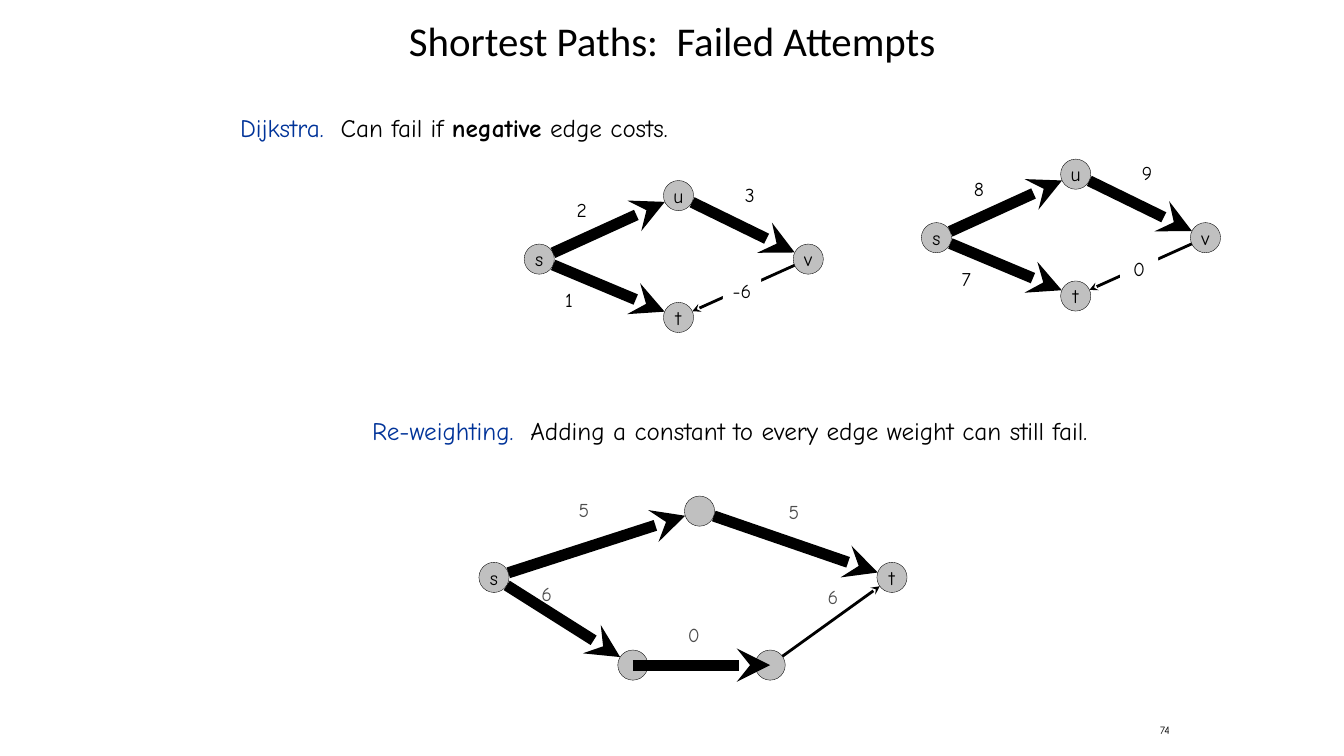
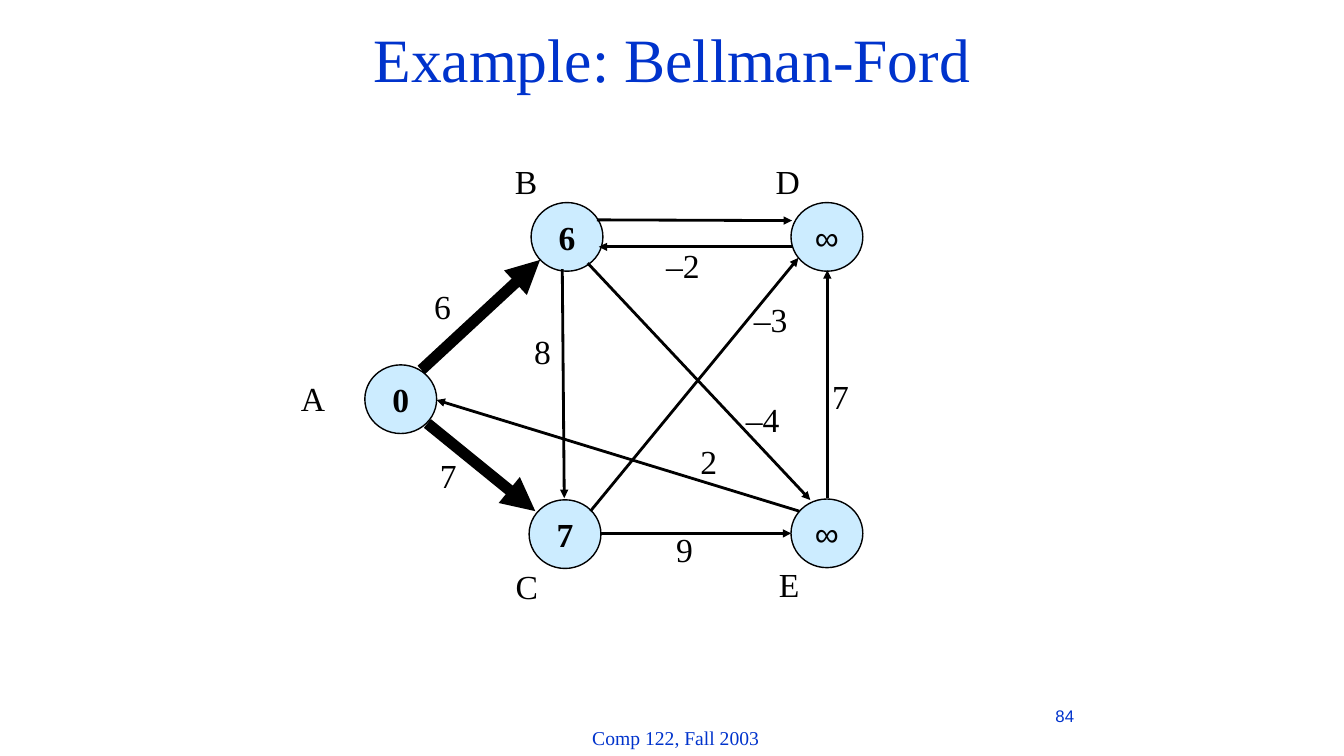
"""Build two slides on shortest paths with negative edge costs."""
from math import hypot

from lxml import etree
from pptx import Presentation
from pptx.dml.color import RGBColor
from pptx.enum import shapes as kinds
from pptx.enum import text as t
from pptx.oxml.ns import qn
from pptx.util import Cm, Pt

BLACK = RGBColor(0x00, 0x00, 0x00)
WHITE = RGBColor(0xFF, 0xFF, 0xFF)
GREY_NODE = RGBColor(0xC0, 0xC0, 0xC0)
GREY_TEXT = RGBColor(0x4D, 0x4D, 0x4D)
BLUE_NODE = RGBColor(0xCC, 0xEC, 0xFF)
NAVY = RGBColor(0x00, 0x33, 0x99)
BLUE = RGBColor(0x00, 0x33, 0xCC)

COMIC, TIMES, ARIAL, CALIBRI = "Comic Neue", "Times New Roman", "Arial", "Calibri"
LEFT, CENTER, RIGHT = t.PP_ALIGN.LEFT, t.PP_ALIGN.CENTER, t.PP_ALIGN.RIGHT
TOP, MIDDLE = t.MSO_ANCHOR.TOP, t.MSO_ANCHOR.MIDDLE
INSET = 0.13
THIN, THICK = 2, 8
SMALL_NODE = (0.76, 0.76)
LARGE_NODE = (1.81, 1.73)


def place(shape, box):
    """Move and size a shape to a box in centimetres."""
    shape.left, shape.top, shape.width, shape.height = map(Cm, box)


def around(center, size):
    """Return the box of a given size around a center."""
    return center[0] - size[0] / 2, center[1] - size[1] / 2, *size


def write(shape, runs, font, size, align=CENTER, anchor=MIDDLE, inset=INSET,
          spacing=None, wrap=True):
    """Write (text, colour, bold) runs into the first paragraph of a shape."""
    frame = shape.text_frame
    frame.auto_size = t.MSO_AUTO_SIZE.NONE
    frame.word_wrap = wrap
    frame.vertical_anchor = anchor
    frame.margin_left = frame.margin_right = Cm(inset)
    frame.margin_top = frame.margin_bottom = Cm(inset)
    paragraph = frame.paragraphs[0]
    paragraph.alignment = align
    paragraph.space_before = Pt(0)
    if spacing:
        paragraph.line_spacing = spacing
    for words, color, bold in runs:
        run = paragraph.add_run()
        run.text = words
        run.font.name = font
        run.font.size = Pt(size)
        run.font.bold = bold
        run.font.color.rgb = color


def add_title(slide, words, box, font, size, color, spacing=None):
    """Fill the title placeholder."""
    place(slide.shapes.title, box)
    write(slide.shapes.title, [(words, color, False)], font, size, spacing=spacing)


def add_text(slide, box, runs, font, size, **style):
    """Add a text box."""
    box_shape = slide.shapes.add_textbox(*map(Cm, box))
    write(box_shape, runs, font, size, **style)
    return box_shape


def add_claim(placeholder, box):
    """Turn the body placeholder into an unbulleted line."""
    place(placeholder, box)
    properties = placeholder.text_frame.paragraphs[0]._p.get_or_add_pPr()
    properties.set("marL", "0")
    properties.set("indent", "0")
    etree.SubElement(properties, qn("a:buNone"))
    write(placeholder,
          [("Dijkstra.  ", NAVY, False), ("Can fail if ", BLACK, False),
           ("negative", BLACK, True), (" edge costs.", BLACK, False)],
          COMIC, 18, align=LEFT, anchor=TOP, spacing=Pt(26))


def add_label(slide, center, words, font, size, color=BLACK, fill=None):
    """Add a short label centered on a point."""
    label = add_text(slide, around(center, (0.96, 0.66)), [(words, color, False)],
                     font, size, inset=0, wrap=fill is not None)
    if fill is not None:
        label.fill.solid()
        label.fill.fore_color.rgb = fill


def add_node(slide, center, size, fill, border, words, font, points, bold=False):
    """Add a round graph node with its text."""
    node = slide.shapes.add_shape(kinds.MSO_SHAPE.OVAL,
                                  *map(Cm, around(center, size)))
    node.shadow.inherit = False
    node.fill.solid()
    node.fill.fore_color.rgb = fill
    node.line.color.rgb = BLACK
    node.line.width = Pt(border)
    if words:
        write(node, [(words, BLACK, bold)], font, points, inset=0, wrap=False)


def add_edge(slide, start, end, width, head):
    """Add a straight arrow."""
    edge = slide.shapes.add_connector(kinds.MSO_CONNECTOR.STRAIGHT,
                                      *map(Cm, (*start, *end)))
    edge.line.color.rgb = BLACK
    edge.line.width = Pt(width)
    properties = edge._element.spPr
    etree.SubElement(properties.get_or_add_ln(), qn("a:tailEnd"), type=head)
    etree.SubElement(properties, qn("a:effectLst"))


def rim_to_rim(start, end, radius):
    """Shorten the line between two centers by the node radius."""
    dx, dy = end[0] - start[0], end[1] - start[1]
    share = radius / hypot(dx, dy)
    return ((start[0] + dx * share, start[1] + dy * share),
            (end[0] - dx * share, end[1] - dy * share))


def add_small_graph(slide, nodes, edges):
    """Draw grey nodes {key: (center, text)} and edges (from, to, width)."""
    for center, words in nodes.values():
        add_node(slide, center, SMALL_NODE, GREY_NODE, 0.25, words, COMIC, 14)
    for start, end, width in edges:
        ends = rim_to_rim(nodes[start][0], nodes[end][0], SMALL_NODE[0] / 2)
        add_edge(slide, *ends, width, "stealth")


def add_diamond(slide, origin, costs):
    """Draw the four-node graph with its source at the origin."""
    def at(dx, dy):
        return origin[0] + dx, origin[1] + dy

    nodes = {"s": at(0, 0), "u": at(3.51, -1.6), "t": at(3.51, 1.47), "v": at(6.78, 0)}
    add_small_graph(slide, {key: (center, key) for key, center in nodes.items()},
                    [("s", "u", THICK), ("s", "t", THICK),
                     ("u", "v", THICK), ("v", "t", THIN)])
    spots = [(1.07, -1.24), (0.75, 1.02), (5.31, -1.63), (5.11, 0.79)]
    for spot, cost in zip(spots, costs):
        add_label(slide, at(*spot), cost, COMIC, 14, fill=WHITE)


def add_reweighted(slide):
    """Draw the graph whose shortest path changes with re-weighting."""
    nodes = {"s": ((12.45, 14.55), "s"), "top": ((17.63, 12.88), ""),
             "left": ((15.95, 16.76), ""), "right": ((19.41, 16.76), ""),
             "t": ((22.48, 14.55), "t")}
    add_small_graph(slide, nodes, [("s", "top", THICK), ("top", "t", THICK),
                                   ("s", "left", THICK), ("right", "t", THIN)])
    add_edge(slide, nodes["left"][0], nodes["right"][0], THICK, "stealth")
    for center, cost in [((14.72, 12.85), "5"), ((20.01, 12.9), "5"),
                         ((20.99, 15.04), "6"), ((13.78, 14.97), "6"),
                         ((17.49, 16), "0")]:
        add_label(slide, center, cost, COMIC, 14, GREY_TEXT)


def build_failed_attempts(deck):
    """Build the slide on failed attempts."""
    slide = deck.slides.add_slide(deck.slide_layouts[1])
    add_title(slide, "Shortest Paths:  Failed Attempts", (4.24, 0.43, 25.4, 1.27),
              CALIBRI, 29.2, BLACK, spacing=0.95)
    add_claim(slide.placeholders[1], (5.92, 2.54, 21.79, 1.63))
    add_diamond(slide, (13.59, 6.53), ["2", "1", "3", "-6"])
    add_diamond(slide, (23.6, 5.99), ["8", "7", "9", "0"])
    add_text(slide, (9.25, 10.19, 20.22, 1.17),
             [("Re-weighting.  ", NAVY, False),
              ("Adding a constant to every edge weight can still fail.", BLACK, False)],
             COMIC, 18, align=LEFT, anchor=TOP, spacing=Pt(26))
    add_reweighted(slide)
    add_text(slide, (24.33, 18.08, 5.28, 0.64), [("74", BLACK, False)],
             COMIC, 8, align=RIGHT)


def build_bellman_ford(deck):
    """Build the slide with the Bellman-Ford example."""
    slide = deck.slides.add_slide(deck.slide_layouts[5])
    add_title(slide, "Example: Bellman-Ford", (4.24, 0.2, 25.4, 2.54), TIMES, 44, BLUE)
    vertices = [("A", (7.89, 10.03), (10.1, 10.06), "0"),
                ("B", (13.26, 4.57), (14.29, 5.97), "6"),
                ("C", (13.28, 14.76), (14.24, 13.46), "7"),
                ("D", (19.85, 4.57), (20.84, 5.97), "∞"),
                ("E", (19.89, 14.73), (20.84, 13.44), "∞")]
    for name, spot, center, distance in vertices:
        finite = distance != "∞"
        add_node(slide, center, LARGE_NODE, BLUE_NODE, 1, distance,
                 TIMES if finite else ARIAL, 24, finite)
        add_label(slide, spot, name, TIMES, 24)
    for start, end, width in [((10.62, 9.32), (13.61, 6.55), THICK),
                              ((10.77, 10.67), (13.49, 12.88), THICK),
                              ((14.17, 6.78), (14.22, 12.55), THIN),
                              ((20.85, 12.55), (20.85, 6.81), THIN),
                              ((15.14, 13.44), (19.94, 13.44), THIN),
                              ((15.04, 5.54), (19.96, 5.56), THIN),
                              ((14.88, 12.88), (20.12, 6.5), THIN),
                              ((20.14, 12.88), (11, 10.08), THIN),
                              ((19.99, 6.22), (15.09, 6.22), THIN),
                              ((14.81, 6.63), (20.42, 12.6), THIN)]:
        add_edge(slide, start, end, width, "triangle")
    for center, cost in [((11.15, 7.72), "6"), ((11.3, 11.96), "7"),
                         ((13.67, 8.84), "8"), ((21.18, 9.98), "7"),
                         ((17.25, 13.84), "9"), ((19.42, 8.03), "–3"),
                         ((17.86, 11.63), "2"), ((17.21, 6.68), "–2"),
                         ((19.22, 10.57), "–4")]:
        add_label(slide, center, cost, TIMES, 24)
    add_text(slide, (14.78, 18.19, 4.5, 0.79), [("Comp 122, Fall 2003", BLUE, False)],
             TIMES, 14, wrap=False)
    add_text(slide, (26.47, 17.65, 2.54, 0.76), [("84", BLUE, False)],
             ARIAL, 12, align=LEFT)


def main():
    """Build and save the deck."""
    deck = Presentation()
    deck.slide_width, deck.slide_height = Cm(33.87), Cm(19.05)
    build_failed_attempts(deck)
    build_bellman_ford(deck)
    deck.save("out.pptx")


if __name__ == "__main__":
    main()
